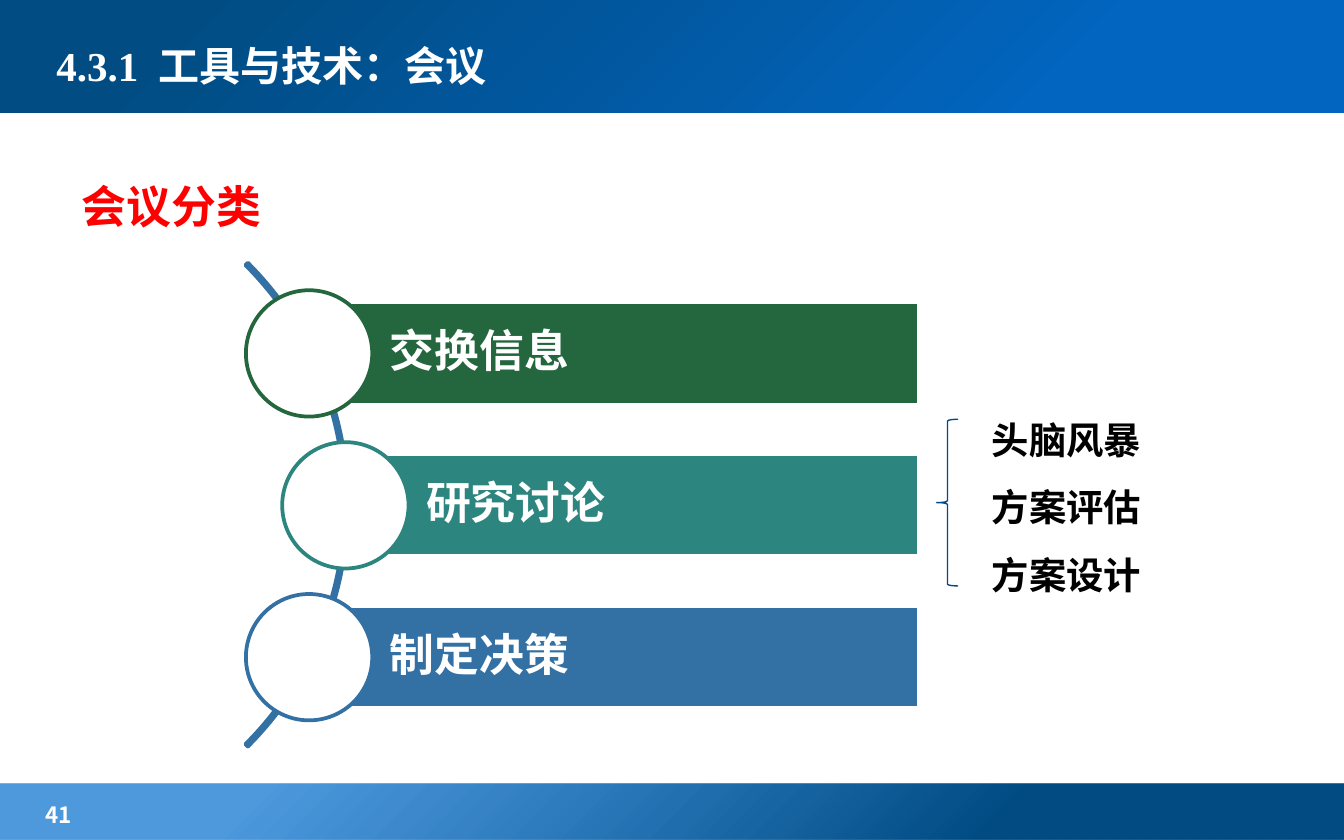
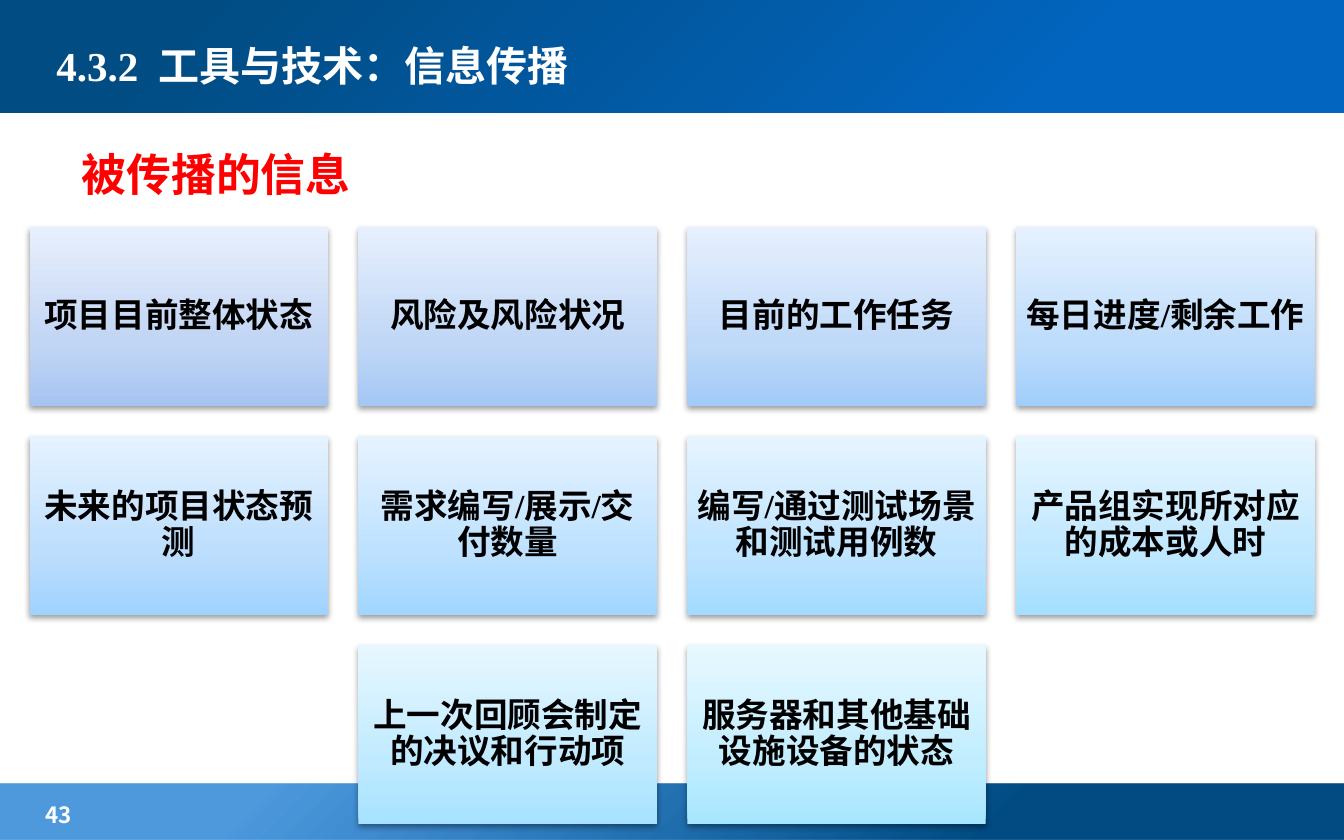
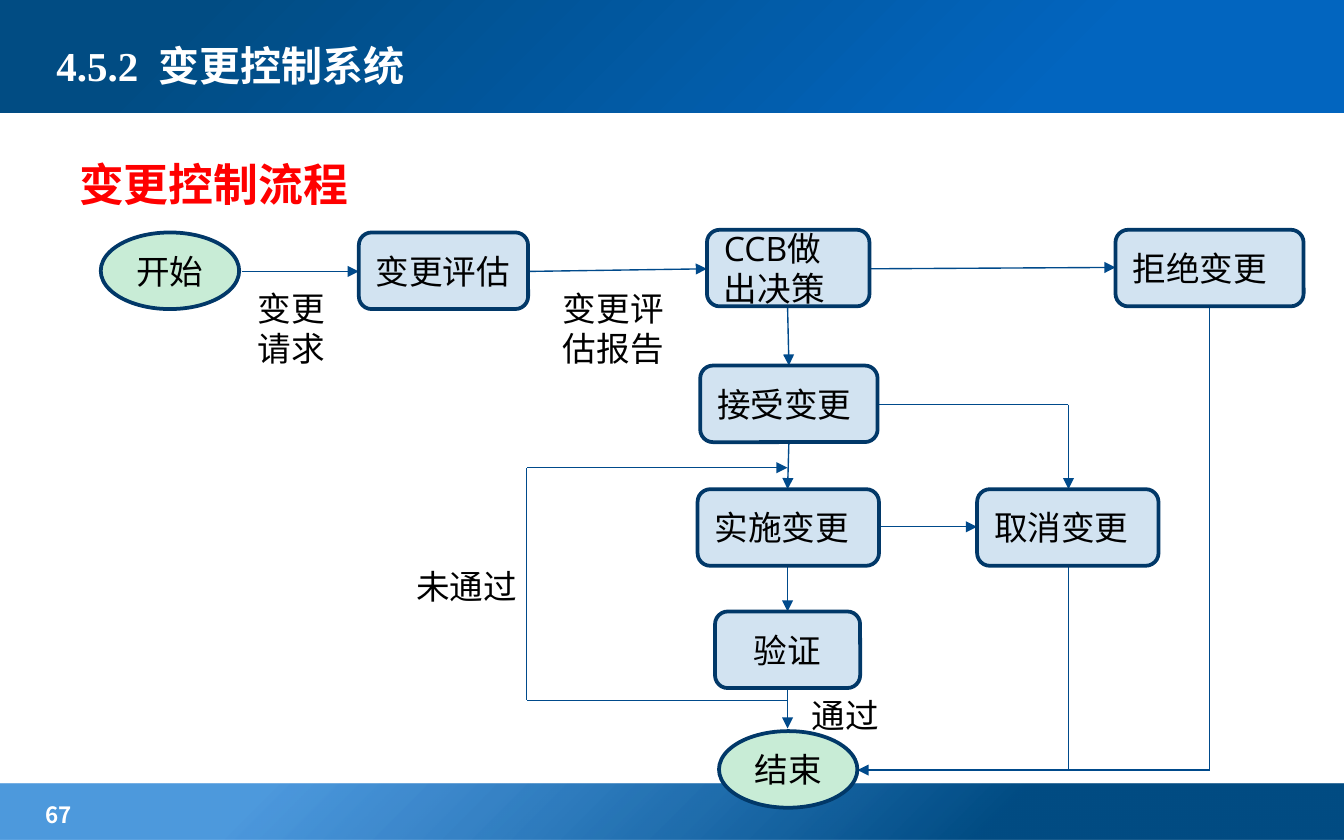
import itertools
import lxml.etree
import pptx
import pptx.dml.color
import pptx.enum.shapes
import pptx.enum.text
import pptx.oxml.ns
import pptx.util

Inches = pptx.util.Inches
Pt = pptx.util.Pt
RGBColor = pptx.dml.color.RGBColor
qn = pptx.oxml.ns.qn
SubElement = lxml.etree.SubElement
SHAPES = pptx.enum.shapes.MSO_SHAPE
STRAIGHT = pptx.enum.shapes.MSO_CONNECTOR.STRAIGHT
ALIGN = pptx.enum.text.PP_ALIGN
MIDDLE = pptx.enum.text.MSO_ANCHOR.MIDDLE

WHITE = RGBColor(0xFF, 0xFF, 0xFF)
BLACK = RGBColor(0x00, 0x00, 0x00)
RED = RGBColor(0xFF, 0x00, 0x00)
NAVY = RGBColor(0x01, 0x4C, 0x83)
HEADER_BLUE = RGBColor(0x02, 0x65, 0xBF)
FOOTER_BLUE = RGBColor(0x02, 0x6D, 0xCE)
GREEN = RGBColor(0x24, 0x67, 0x3E)
TEAL = RGBColor(0x2C, 0x85, 0x7E)
STEEL = RGBColor(0x33, 0x71, 0xA4)
LINE_BLUE = RGBColor(0x00, 0x4A, 0x8B)
BORDER_BLUE = RGBColor(0x01, 0x38, 0x68)
STEP_BLUE = RGBColor(0xD2, 0xE3, 0xF1)
END_GREEN = RGBColor(0xC8, 0xEC, 0xD6)
SERIF = "Times New Roman"
SANS = "Open Sans"
CHINESE = "Noto Sans CJK SC"


def write(frame, lines, size, color, font=SERIF, bold=True, align=ALIGN.LEFT, spacing=None, wrap=True):
    frame.word_wrap = wrap
    for index, line in enumerate(lines):
        paragraph = frame.add_paragraph() if index else frame.paragraphs[0]
        paragraph.alignment = align
        paragraph.line_spacing = spacing
        run = paragraph.add_run()
        run.text = line
        run.font.size = Pt(size)
        run.font.bold = bold
        run.font.color.rgb = color
        run.font.name = font
        SubElement(run.font._element, qn("a:ea"), typeface=CHINESE)


def fill_gradient(shape, stops, radial):
    shape.fill.gradient()
    gradient = shape.element.spPr.find(qn("a:gradFill"))
    for child in list(gradient):
        gradient.remove(child)
    stop_list = SubElement(gradient, qn("a:gsLst"))
    for position, color, opacity in stops:
        stop = SubElement(stop_list, qn("a:gs"), pos=str(position * 1000))
        value = SubElement(stop, qn("a:srgbClr"), val=str(color))
        if opacity < 100:
            SubElement(value, qn("a:alpha"), val=str(opacity * 1000))
    if radial:
        focus = SubElement(gradient, qn("a:path"))
        focus.set("path", "circle")
        SubElement(focus, qn("a:fillToRect"), l="100000", t="100000")
    else:
        SubElement(gradient, qn("a:lin"), ang="16200000", scaled="0")


presentation = pptx.Presentation()
presentation.slide_width = Inches(10)
presentation.slide_height = Inches(6.25)
layout = presentation.slide_layouts[5]

pages = [
    ("4.3.1  工具与技术：会议", 7.28, " 41", "会议分类", 0.51, 1.08),
    ("4.3.2  工具与技术：信息传播", 7.28, " 43", "被传播的信息", 0.51, 0.84),
    ("4.5.2  变更控制系统", 6.38, " 67", "变更控制流程", 0.49, 0.92),
]
slides = []
for title_text, title_width, number, heading, left, top in pages:
    slide = presentation.slides.add_slide(layout)
    title = slide.shapes.title
    title.left, title.top = Inches(0.32), Inches(0.13)
    title.width, title.height = Inches(title_width), Inches(0.71)
    title.text_frame.vertical_anchor = MIDDLE
    write(title.text_frame, [title_text], 22, WHITE)
    number_box = slide.shapes.add_textbox(Inches(0.2), Inches(5.91), Inches(1.57), Inches(0.26))
    write(number_box.text_frame, [number], 12, WHITE, CHINESE)
    heading_box = slide.shapes.add_textbox(Inches(left), Inches(top), Inches(8.98), Inches(3.9))
    write(heading_box.text_frame, [heading], 24, RED, spacing=1.5)
    slides.append(slide)
meeting_slide, information_slide, change_slide = slides

bands = [
    (-0.03, 0.87, [(21, HEADER_BLUE, 100), (86, NAVY, 100)]),
    (5.83, 0.42, [(26, NAVY, 100), (80, FOOTER_BLUE, 70)]),
]
for top, height, stops in bands:
    band = meeting_slide.shapes.add_shape(SHAPES.RECTANGLE, 0, Inches(top), Inches(10), Inches(height))
    band.shadow.inherit = False
    band.line.fill.background()
    fill_gradient(band, stops, radial=True)
    layout.shapes.element.insert(2, band.element)

arc = meeting_slide.shapes.add_shape(SHAPES.BLOCK_ARC, Inches(-2.5), Inches(1.21), Inches(5.09), Inches(5.09))
for index, value in enumerate([189, 27, 0.005]):
    arc.adjustments[index] = value
arc.shadow.inherit = False
arc.fill.background()
arc.line.color.rgb = STEEL
arc.line.width = Pt(2)

meeting_kinds = [("交换信息", GREEN, 2.3), ("研究讨论", TEAL, 2.57), ("制定决策", STEEL, 2.3)]
for index, (label, color, left) in enumerate(meeting_kinds):
    top = 2.25 + 1.13 * index
    bar = meeting_slide.shapes.add_shape(
        SHAPES.RECTANGLE, Inches(left), Inches(top), Inches(6.84 - left), Inches(0.76))
    circle = meeting_slide.shapes.add_shape(
        SHAPES.OVAL, Inches(left - 0.47), Inches(top - 0.09), Inches(0.94), Inches(0.94))
    for shape, fill, outline in [(bar, color, WHITE), (circle, WHITE, color)]:
        shape.shadow.inherit = False
        shape.fill.solid()
        shape.fill.fore_color.rgb = fill
        shape.line.color.rgb = outline
        shape.line.width = Pt(2)
    frame = bar.text_frame
    frame.vertical_anchor = MIDDLE
    frame.margin_left = Inches(0.6)
    frame.margin_top = frame.margin_right = frame.margin_bottom = Inches(0.07)
    write(frame, [label], 24, WHITE, spacing=0.9)

topics = meeting_slide.shapes.add_textbox(Inches(7.28), Inches(2.89), Inches(1.32), Inches(1.56))
write(topics.text_frame, ["头脑风暴", "方案评估", "方案设计"], 20, BLACK, spacing=1.5)
brace = meeting_slide.shapes.add_shape(SHAPES.LEFT_BRACE, Inches(6.97), Inches(3.12), Inches(0.16), Inches(1.24))
brace.shadow.inherit = False
brace.fill.background()
brace.line.color.rgb = LINE_BLUE
brace.line.width = Pt(0.75)

cards = [
    ("项目目前整体状态", "A6C4F1", "C1D5F4", "E7EFFC"),
    ("风险及风险状况", "A4C7F4", "C0D7F6", "E6EFFD"),
    ("目前的工作任务", "A3CAF8", "BFD9F8", "E6F0FE"),
    ("每日进度/剩余工作", "A1CEFB", "BEDCFB", "E5F1FF"),
    ("未来的项目状态预测", "A0D2FF", "BDDEFD", "E5F2FF"),
    ("需求编写/展示/交付数量", "A1D6FF", "BDE1FF", "E6F3FF"),
    ("编写/通过测试场景和测试用例数", "A3DAFF", "BEE4FF", "E6F4FF"),
    ("产品组实现所对应的成本或人时", "A5DEFF", "BFE7FF", "E7F6FF"),
    ("上一次回顾会制定的决议和行动项", "A6E2FF", "C0EAFF", "E7F7FF"),
    ("服务器和其他基础设施设备的状态", "A7E6FF", "C1EDFF", "E7F8FF"),
]
for index, (label, *colors) in enumerate(cards):
    row, column = divmod(index, 4)
    if row == 2:
        column += 1
    card = information_slide.shapes.add_shape(
        SHAPES.RECTANGLE, Inches(0.22 + 2.447 * column), Inches(1.69 + 1.555 * row), Inches(2.22), Inches(1.33))
    fill_gradient(card, zip([0, 35, 100], colors, [100] * 3), radial=False)
    card.line.fill.background()
    card.shadow.inherit = False
    effects = card.element.spPr.find(qn("a:effectLst"))
    shadow = SubElement(effects, qn("a:outerShdw"), blurRad="40000", dist="20000", dir="5400000", rotWithShape="0")
    shadow_color = SubElement(shadow, qn("a:srgbClr"), val=str(BLACK))
    SubElement(shadow_color, qn("a:alpha"), val="38000")
    frame = card.text_frame
    frame.vertical_anchor = MIDDLE
    frame.margin_left = frame.margin_top = frame.margin_right = frame.margin_bottom = Inches(0.07)
    write(frame, [label], 18, BLACK, align=ALIGN.CENTER, spacing=0.9)

routes = [
    ([(1.8, 2.02), (2.67, 2.02)], True),
    ([(3.92, 2.02), (5.26, 2)], True),
    ([(6.47, 2), (8.3, 1.99)], True),
    ([(5.86, 2.28), (5.87, 2.72)], True),
    ([(5.87, 3.29), (5.86, 3.64)], True),
    ([(5.86, 4.21), (5.86, 4.55)], True),
    ([(5.86, 5.12), (5.86, 5.42)], True),
    ([(6.54, 3.92), (7.27, 3.92)], True),
    ([(6.53, 3.01), (7.95, 3.01), (7.95, 3.64)], True),
    ([(5.86, 5.21), (3.92, 5.21), (3.92, 3.48), (5.86, 3.48)], True),
    ([(9, 2.28), (9, 5.73), (6.38, 5.73)], True),
    ([(7.95, 4.21), (7.95, 5.73)], False),
]
for points, has_arrow in routes:
    for start, end in itertools.pairwise(points):
        connector = change_slide.shapes.add_connector(STRAIGHT, *map(Inches, start + end))
        connector.line.color.rgb = LINE_BLUE
        connector.line.width = Pt(0.75)
        properties = connector.element.spPr
        if has_arrow and end == points[-1]:
            SubElement(properties.find(qn("a:ln")), qn("a:tailEnd"), type="triangle")
        SubElement(properties, qn("a:effectLst"))

STEP, END = SHAPES.ROUNDED_RECTANGLE, SHAPES.OVAL
nodes = [
    ("开始", END, 0.75, 1.73, 1.03, ALIGN.CENTER),
    ("变更评估", STEP, 2.67, 1.73, 1.26, ALIGN.LEFT),
    ("CCB做出决策", STEP, 5.26, 1.71, 1.21, ALIGN.LEFT),
    ("拒绝变更", STEP, 8.3, 1.71, 1.4, ALIGN.LEFT),
    ("接受变更", STEP, 5.21, 2.72, 1.32, ALIGN.LEFT),
    ("实施变更", STEP, 5.19, 3.64, 1.35, ALIGN.LEFT),
    ("取消变更", STEP, 7.27, 3.64, 1.35, ALIGN.LEFT),
    ("验证", STEP, 5.32, 4.55, 1.08, ALIGN.CENTER),
    ("结束", END, 5.35, 5.44, 1.03, ALIGN.CENTER),
]
for label, kind, left, top, width, align in nodes:
    node = change_slide.shapes.add_shape(kind, Inches(left), Inches(top), Inches(width), Inches(0.57))
    node.shadow.inherit = False
    node.fill.solid()
    node.fill.fore_color.rgb = STEP_BLUE if kind == STEP else END_GREEN
    node.line.color.rgb = BORDER_BLUE
    node.line.width = Pt(2)
    node.text_frame.vertical_anchor = MIDDLE
    write(node.text_frame, [label], 18, BLACK, SANS, bold=False, align=align)

flow_labels = [
    ("变更请求", 1.82, 2.09, 0.76, 0.71, True),
    ("变更评估报告", 4.09, 2.09, 1.13, 0.71, True),
    ("通过", 5.94, 5.12, 0.71, 0.4, False),
    ("未通过", 3, 4.16, 0.96, 0.4, False),
]
for label, left, top, width, height, wrap in flow_labels:
    box = change_slide.shapes.add_textbox(Inches(left), Inches(top), Inches(width), Inches(height))
    write(box.text_frame, [label], 18, BLACK, SANS, bold=False, wrap=wrap)

presentation.save("out.pptx")
